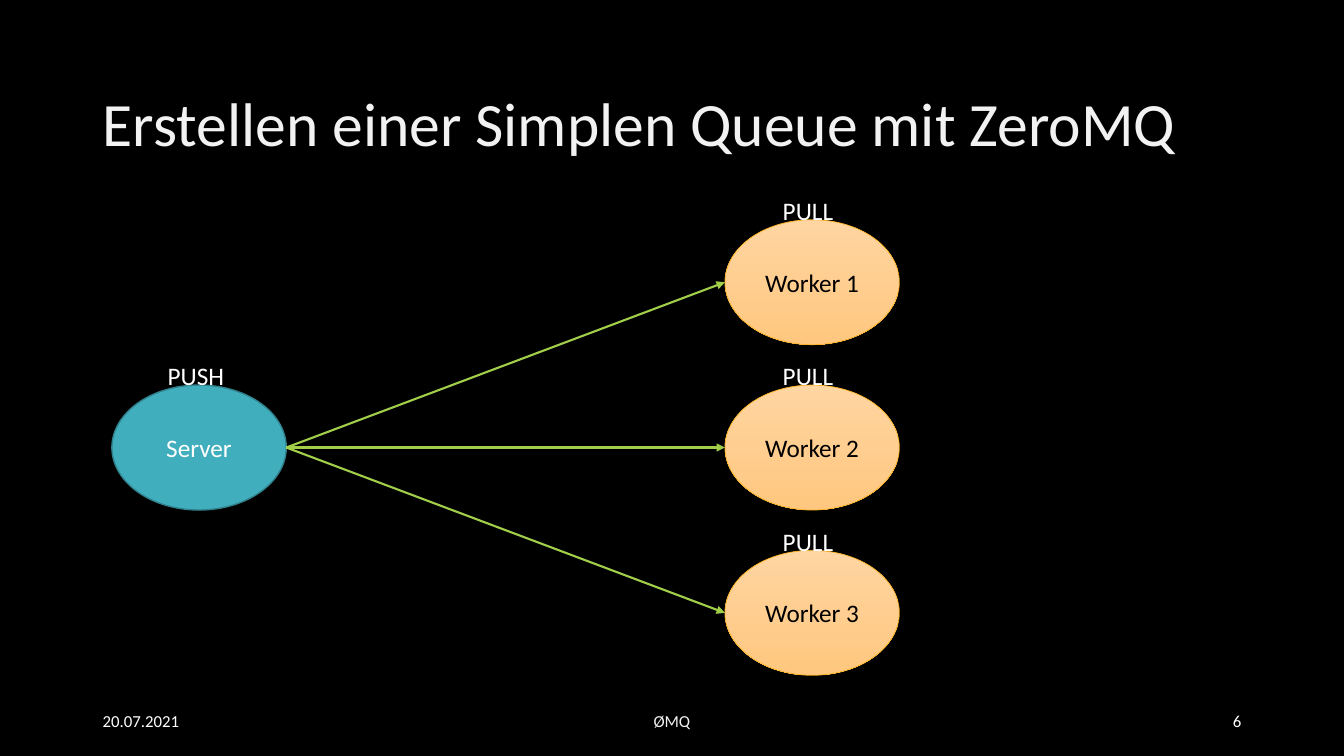
from dataclasses import dataclass

from lxml.etree import SubElement
from pptx import Presentation
from pptx.dml.color import RGBColor
from pptx.enum.shapes import MSO_CONNECTOR, MSO_SHAPE
from pptx.enum.text import MSO_ANCHOR as Anchor, MSO_AUTO_SIZE, PP_ALIGN as Align
from pptx.oxml.ns import qn
from pptx.shapes.autoshape import Shape
from pptx.slide import Slide
from pptx.util import Inches, Length, Pt

BLACK = RGBColor(0x00, 0x00, 0x00)
WHITE = RGBColor(0xFF, 0xFF, 0xFF)
OFF_WHITE = RGBColor(0xF2, 0xF2, 0xF2)
TEAL = RGBColor(0x41, 0xAE, 0xBD)
DARK_TEAL = RGBColor(0x30, 0x81, 0x8C)
PEACH = RGBColor(0xFF, 0xD5, 0xA1)
ORANGE = RGBColor(0xFF, 0xC7, 0x7F)
AMBER = RGBColor(0xFC, 0xB1, 0x1C)
GREEN = RGBColor(0xA2, 0xCF, 0x49)

FONT = "Calibri"
SLIDE_W, SLIDE_H = Inches(13.33), Inches(7.5)
MARGIN = Inches(0.92)

# Node grid: server column and worker column, three equal rows
COLUMNS = (Inches(1.11), Inches(7.19))
FIRST_ROW, ROW_PITCH = Inches(2.18), Inches(1.64)
NODE_W, NODE_H = Inches(1.73), Inches(1.24)
LABEL_H, LABEL_RISE = Inches(0.4), Inches(0.29)
FOOTER_TOP, FOOTER_H = Inches(6.95), Inches(0.4)


@dataclass(frozen=True)
class NodeStyle:
    fill: tuple[RGBColor, ...]
    line: RGBColor
    line_width: float
    text: RGBColor
    socket: str
    socket_width: float


@dataclass(frozen=True)
class Node:
    name: str
    column: int
    row: int
    style: NodeStyle

    @property
    def left(self) -> Length:
        return COLUMNS[self.column]

    @property
    def top(self) -> Length:
        return Length(FIRST_ROW + self.row * ROW_PITCH)

    @property
    def middle(self) -> Length:
        return Length(self.top + NODE_H // 2)


@dataclass(frozen=True)
class Footer:
    text: str
    left: Length
    width: Length
    align: Align
    color: RGBColor


SERVER_STYLE = NodeStyle((TEAL,), DARK_TEAL, 1, WHITE, "PUSH", 0.82)
WORKER_STYLE = NodeStyle((PEACH, ORANGE), AMBER, 0.5, BLACK, "PULL", 0.78)
SERVER = Node("Server", 0, 1, SERVER_STYLE)
WORKERS = [Node(f"Worker {i + 1}", 1, i, WORKER_STYLE) for i in range(3)]

SIDE_W, CENTER_W = Inches(3), Inches(4.5)
FOOTERS = (
    Footer("20.07.2021", MARGIN, SIDE_W, Align.LEFT, WHITE),
    Footer("ØMQ", Length((SLIDE_W - CENTER_W) // 2), CENTER_W, Align.CENTER, OFF_WHITE),
    Footer("6", Length(SLIDE_W - MARGIN - SIDE_W), SIDE_W, Align.RIGHT, WHITE),
)


def write(sp: Shape, text: str, size: float, color: RGBColor, align: Align,
          anchor: Anchor, wrap: bool = True) -> None:
    tf = sp.text_frame
    tf.word_wrap = wrap
    tf.vertical_anchor = anchor
    p = tf.paragraphs[0]
    p.text = text
    p.alignment = align
    p.font.name, p.font.size = FONT, Pt(size)
    p.font.color.rgb = color


def add_title(s: Slide, text: str) -> None:
    sp = s.shapes.title
    sp.left, sp.top = MARGIN, Inches(0.4)
    sp.width, sp.height = Length(SLIDE_W - MARGIN), Inches(1.24)
    write(sp, text, 44, OFF_WHITE, Align.LEFT, Anchor.BOTTOM)
    sp.text_frame.auto_size = MSO_AUTO_SIZE.NONE
    sp.text_frame.paragraphs[0].line_spacing = 0.9


def add_footer(s: Slide, footer: Footer) -> None:
    sp = s.shapes.add_textbox(footer.left, FOOTER_TOP, footer.width, FOOTER_H)
    write(sp, footer.text, 12, footer.color, footer.align, Anchor.MIDDLE)


def add_node(s: Slide, node: Node) -> None:
    """Draw the ellipse with its socket label centred over the top edge."""
    style = node.style
    sp = s.shapes.add_shape(MSO_SHAPE.OVAL, node.left, node.top, NODE_W, NODE_H)
    sp.shadow.inherit = False
    if len(style.fill) == 1:
        sp.fill.solid()
        sp.fill.fore_color.rgb = style.fill[0]
    else:
        sp.fill.gradient()
        sp.fill.gradient_angle = 270
        for stop, color in zip(sp.fill.gradient_stops, style.fill):
            stop.color.rgb = color
    sp.line.color.rgb = style.line
    sp.line.width = Pt(style.line_width)
    write(sp, node.name, 18, style.text, Align.CENTER, Anchor.MIDDLE)

    width = Inches(style.socket_width)
    label = s.shapes.add_textbox(node.left + (NODE_W - width) // 2,
                                 node.top - LABEL_RISE, width, LABEL_H)
    write(label, style.socket, 18, WHITE, Align.LEFT, Anchor.TOP, wrap=False)
    label.text_frame.auto_size = MSO_AUTO_SIZE.SHAPE_TO_FIT_TEXT


def add_arrow(s: Slide, source: Node, target: Node) -> None:
    cxn = s.shapes.add_connector(MSO_CONNECTOR.STRAIGHT, source.left + NODE_W,
                                 source.middle, target.left, target.middle)
    cxn.line.color.rgb = GREEN
    cxn.line.width = Pt(1.5)
    sp_pr = cxn.element.spPr
    SubElement(sp_pr.find(qn("a:ln")), qn("a:tailEnd"), type="triangle")
    SubElement(sp_pr, qn("a:effectLst"))


def main() -> None:
    prs = Presentation()
    prs.slide_width, prs.slide_height = SLIDE_W, SLIDE_H
    s = prs.slides.add_slide(prs.slide_layouts[5])
    s.background.fill.solid()
    s.background.fill.fore_color.rgb = BLACK

    add_title(s, "Erstellen einer Simplen Queue mit ZeroMQ")
    for footer in FOOTERS:
        add_footer(s, footer)
    add_node(s, SERVER)
    for worker in WORKERS:
        add_arrow(s, SERVER, worker)
    for worker in reversed(WORKERS):
        add_node(s, worker)
    prs.save("out.pptx")


if __name__ == "__main__":
    main()
